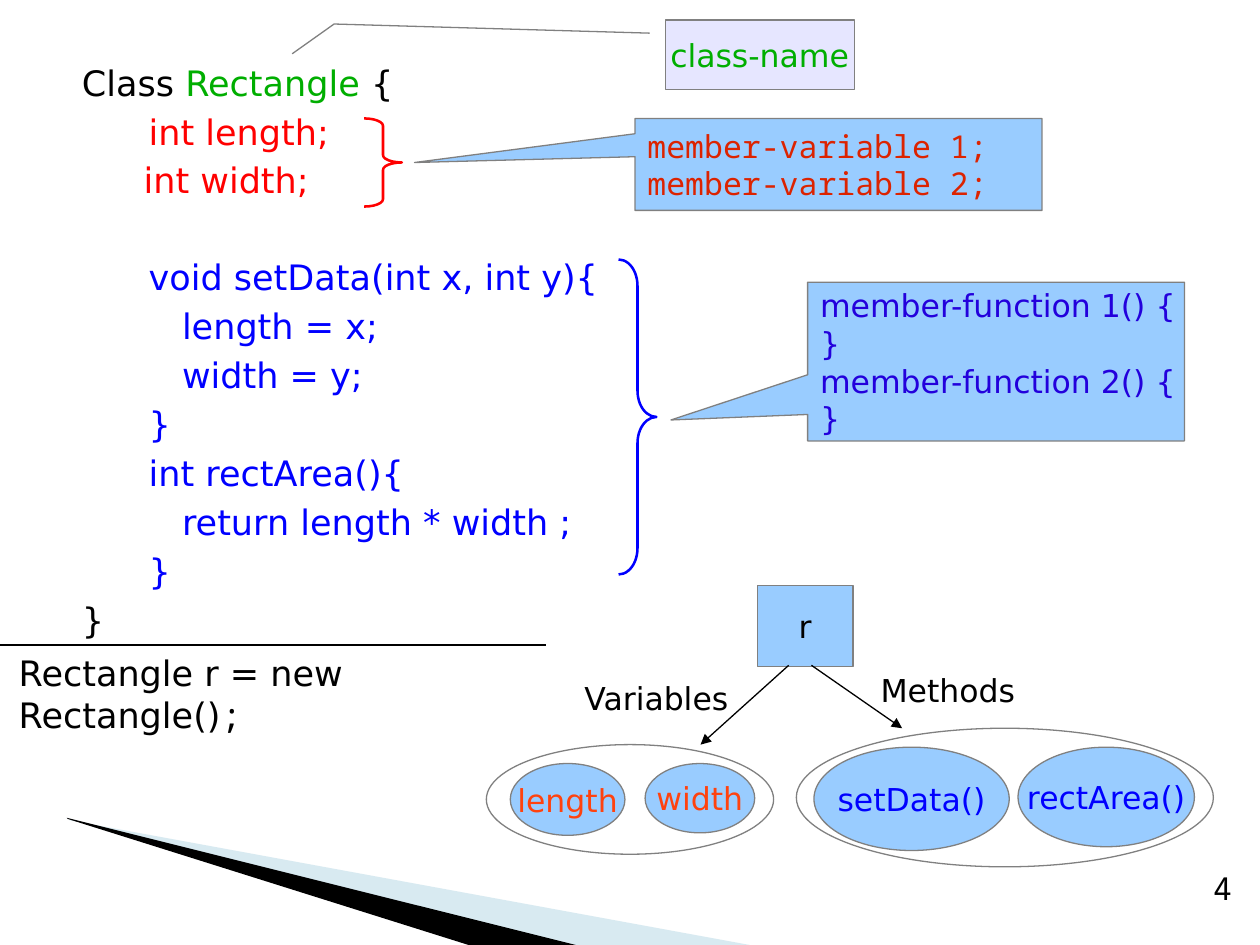
from lxml.etree import SubElement as Sub
from pptx import Presentation
from pptx.dml.color import RGBColor as Rgb
from pptx.enum.shapes import MSO_CONNECTOR as Conn, MSO_SHAPE as Geo
from pptx.enum.text import MSO_ANCHOR as Anchor, MSO_AUTO_SIZE as Fit, PP_ALIGN as Align
from pptx.oxml.ns import qn
from pptx.util import Inches, Pt

BLACK = Rgb(0x00, 0x00, 0x00)
GRAY = Rgb(0x80, 0x80, 0x80)
SKY = Rgb(0x99, 0xCC, 0xFF)
LILAC = Rgb(0xE6, 0xE6, 0xFF)
PALE = Rgb(0x9F, 0xCB, 0xDC)
GREEN = Rgb(0x00, 0xAE, 0x00)
RED = Rgb(0xFF, 0x00, 0x00)
RUST = Rgb(0xDC, 0x23, 0x00)
ORANGE = Rgb(0xFF, 0x42, 0x0E)
BLUE = Rgb(0x00, 0x00, 0xFF)
INDIGO = Rgb(0x23, 0x00, 0xDC)
SANS, MONO = "DejaVu Sans", "Noto Sans Mono"

deck = Presentation()
deck.slide_width, deck.slide_height = Inches(10), Inches(7.5)
COL, ROW = deck.slide_width // 100, deck.slide_height // 75
slide = deck.slides.add_slide(deck.slide_layouts[1])
shapes = slide.shapes
title = shapes.title
title.element.getparent().remove(title.element)


def draw(geo, box, fill, edge, width=0.75, bends=()):
    x, y, w, h = box
    shape = shapes.add_shape(geo, round(x * COL), round(y * ROW), round(w * COL), round(h * ROW))
    shape.shadow.inherit = False
    for i, bend in enumerate(bends):
        shape.adjustments[i] = bend
    if fill is None:
        shape.fill.background()
    else:
        shape.fill.solid()
        shape.fill.fore_color.rgb = fill
    shape.line.color.rgb = edge
    shape.line.width = Pt(width)
    return shape


def write(par, runs, size=18, align=Align.LEFT):
    par.alignment = align
    for text, color, face in runs:
        run = par.add_run()
        run.text = text
        for key, value in {"size": Pt(size), "name": face}.items():
            setattr(run.font, key, value)
        run.font.color.rgb = color


wedges = [
    ([(5.5, 65.1), (59.5, 75), (45.6, 75), (5.5, 65)], PALE, 40),
    ([(5.3, 64.9), (45.7, 75), (37.2, 75), (5.4, 65)], BLACK, 100),
]
for points, color, alpha in wedges:
    spots = [(round(x * COL), round(y * ROW)) for x, y in points]
    pen = shapes.build_freeform(*spots[0])
    pen.add_line_segments(spots[1:], close=True)
    wedge = pen.convert_to_shape()
    wedge.shadow.inherit = False
    wedge.fill.solid()
    wedge.fill.fore_color.rgb = color
    wedge.line.fill.background()
    tint = wedge.element.spPr.find(qn("a:solidFill"))[0]
    Sub(tint, qn("a:alpha"), val=str(alpha * 1000))

code = [
    [("Class ", BLACK), ("Rectangle", GREEN), (" {", BLACK)],
    [("      int length;", RED)],
    [("int width;", RED)],
    [("      void setData(int x, int y){", BLUE)],
    [("         length = x;", BLUE)],
    [("         width = y;", BLUE)],
    [("      }", BLUE)],
    [("      int rectArea(){", BLUE)],
    [("         return length * width ;", BLUE)],
    [("      }", BLUE)],
    [("}", BLACK)],
]
gaps = {0: 0, 2: 3.3, 3: 31.3}
body = slide.placeholders[1]
place = {"left": 5 * COL, "top": round(4.4 * ROW), "width": round(88.6 * COL), "height": round(49.3 * ROW)}
for key, value in place.items():
    setattr(body, key, value)
frame = body.text_frame
for key, value in {"auto_size": Fit.NONE, "word_wrap": True, "vertical_anchor": Anchor.TOP}.items():
    setattr(frame, key, value)
for i, parts in enumerate(code):
    par = frame.paragraphs[0] if i == 0 else frame.add_paragraph()
    inner = i == 2
    par.level = int(inner)
    props = par._p.get_or_add_pPr()
    props.set("marL", str(Inches(0.81 if inner else 0.38)))
    props.set("indent", str(Inches(-0.27 if inner else -0.33)))
    par.space_before = Pt(gaps.get(i, 4))
    Sub(props, qn("a:buNone"))
    write(par, [(text, color, SANS) for text, color in parts], 20)

CALL, OVAL = Geo.RECTANGULAR_CALLOUT, Geo.OVAL
MID, LEFT = Align.CENTER, Align.LEFT
members = ["member-variable 1;", "member-variable 2;"]
functions = ["member-function 1() {", "}", "member-function 2() {", "}"]
hook = (0.188, -0.083, 0.056, -1.752, 0.486, -1.974)
labels = [
    (CALL, (50.4, 9.4, 32.3, 7.3), SKY, (-1.042, -0.02), members, RUST, MONO, LEFT),
    (CALL, (64.1, 22.4, 29.9, 12.6), SKY, (-0.863, 0.368), functions, INDIGO, SANS, LEFT),
    (Geo.LINE_CALLOUT_2, (52.8, 1.6, 15, 5.5), LILAC, hook, ["class-name"], GREEN, SANS, MID),
    (Geo.RECTANGLE, (60.1, 46.5, 7.6, 6.4), SKY, (), ["r"], BLACK, SANS, MID),
    (OVAL, (40.5, 60.6, 9.1, 5.7), SKY, (), ["length"], ORANGE, SANS, MID),
    (OVAL, (51.2, 60.6, 8.7, 5.5), SKY, (), ["width"], ORANGE, SANS, MID),
    (OVAL, (64.6, 59.3, 15.5, 8.2), SKY, (), ["setData()"], BLUE, SANS, MID),
    (OVAL, (80.8, 59.3, 14, 7.9), SKY, (), ["rectArea()"], BLUE, SANS, MID),
]
for geo, box, fill, bends, lines, color, face, align in labels:
    frame = draw(geo, box, fill, GRAY, bends=bends).text_frame
    frame.word_wrap = False
    frame.vertical_anchor = Anchor.MIDDLE
    for i, text in enumerate(lines):
        par = frame.paragraphs[0] if i == 0 else frame.add_paragraph()
        write(par, [(text, color, face)], align=align)

notes = [
    ((68.9, 52.8, 25.2, 6.2), [("Methods", BLACK, SANS)], 18, True),
    ((45.4, 53.4, 28.8, 6.4), [("Variables", BLACK, SANS)], 18, True),
    ((0.5, 51.2, 45.8, 4.3), [("Rectangle r = new Rectangle()", BLACK, SANS), (";", BLACK, MONO)], 20, False),
    ((95.3, 68.5, 3.9, 4.7), [("4", BLACK, MONO)], 18, False),
]
for (x, y, w, h), runs, size, wrap in notes:
    note = shapes.add_textbox(round(x * COL), round(y * ROW), round(w * COL), round(h * ROW))
    note.text_frame.word_wrap = wrap
    write(note.text_frame.paragraphs[0], runs, size)

links = [
    (62.6, 52.8, 55.6, 59.1, True),
    (64.4, 52.8, 71.6, 57.8, True),
    (0, 51.2, 43.3, 51.2, False),
]
for x, y, right, low, arrow in links:
    link = shapes.add_connector(Conn.STRAIGHT, round(x * COL), round(y * ROW), round(right * COL), round(low * ROW))
    link.line.color.rgb = BLACK
    link.line.width = Pt(0.75)
    if arrow:
        Sub(link.line._get_or_add_ln(), qn("a:tailEnd"), type="triangle")
    Sub(link._element.spPr, qn("a:effectLst"))

for ring in [(38.6, 59.1, 22.8, 8.7), (63.2, 57.8, 33.1, 11)]:
    draw(OVAL, ring, None, GRAY)

for x, y, h, color in [(28.9, 9.4, 7, RED), (49.1, 20.6, 25, BLUE)]:
    draw(Geo.RIGHT_BRACE, (x, y, 3, h), None, color, 1.45, (h / 12 / 3, 0.5))

deck.save("out.pptx")
